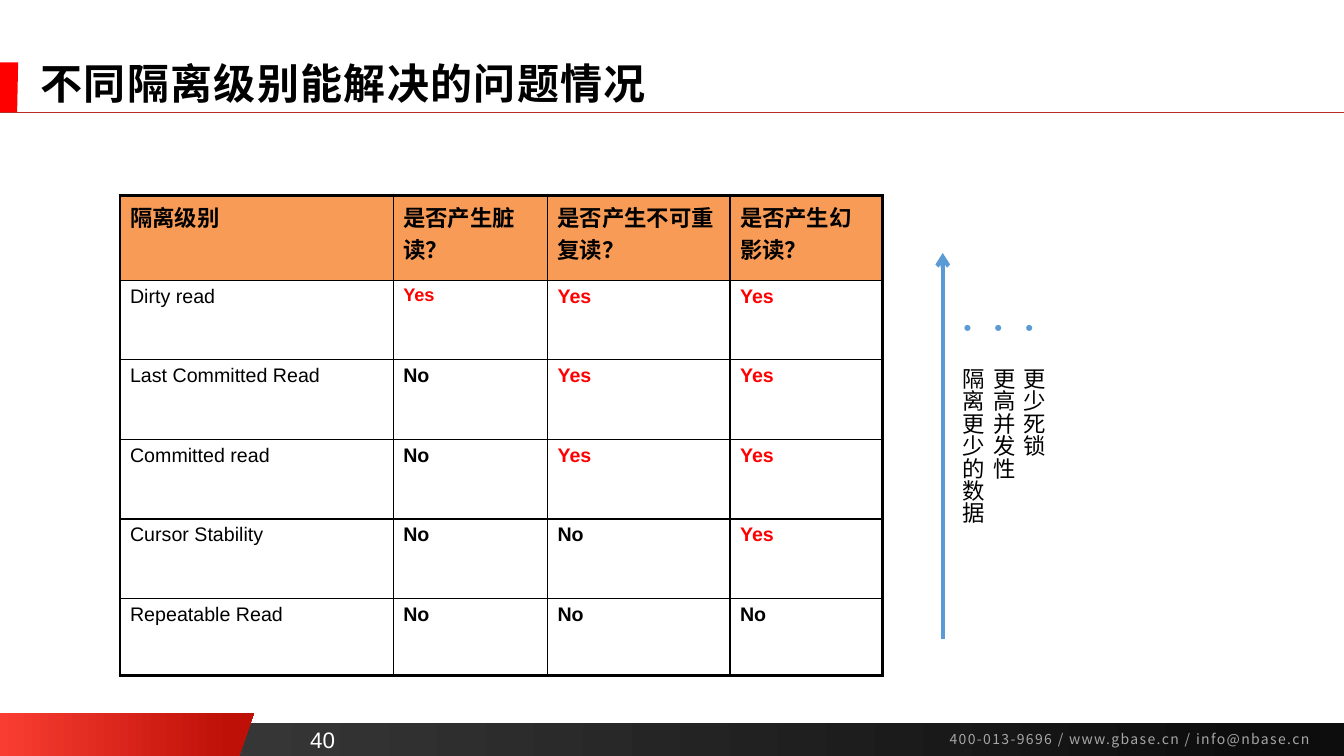
from lxml.etree import SubElement
from pptx import Presentation
from pptx.dml.color import RGBColor
from pptx.enum.shapes import MSO_CONNECTOR, MSO_SHAPE
from pptx.enum.text import MSO_ANCHOR, MSO_AUTO_SIZE, PP_ALIGN
from pptx.oxml.ns import qn
from pptx.util import Inches, Pt

COLORS = {
    "black": "000000", "white": "FFFFFF", "red": "FF0000", "blue": "5B9BD5",
    "orange": "F89B56", "rule": "B82E24", "gray": "A6A6A6",
    "dark": "404040", "night": "0D0D0D", "flame": "F93D32", "brick": "BE1007",
}
CJK = "Noto Sans CJK SC"
HEAD = ["隔离级别", "是否产生脏读？", "是否产生不可重复读？", "是否产生幻影读？"]
LEVELS = [
    ("Dirty read", "Yes", "Yes", "Yes"),
    ("Last Committed Read", "No", "Yes", "Yes"),
    ("Committed read", "No", "Yes", "Yes"),
    ("Cursor Stability", "No", "No", "Yes"),
    ("Repeatable Read", "No", "No", "No"),
]
WIDTHS = [2.71, 1.53, 1.81, 1.51]
HEIGHTS = [0.84, 0.79, 0.79, 0.79, 0.79, 0.76]
GAINS = ["更少死锁", "更高并发性", "隔离更少的数据"]


def color(name):
    """Return the named colour."""
    return RGBColor.from_string(COLORS[name])


def box(*sides):
    """Turn inch numbers into lengths."""
    return [Inches(side) for side in sides]


def write(para, text, size=14, font="Arial", ink="black", bold=False,
          space=0, align=PP_ALIGN.LEFT, lead=None):
    """Add one formatted run to a paragraph."""
    para.alignment = align
    para.space_before = Pt(0)
    if lead:
        para.line_spacing = lead
    run = para.add_run()
    run.text = text
    run.font.size = Pt(size)
    run.font.bold = bold
    run.font.name = font
    run.font.color.rgb = color(ink)
    props = run.font._element
    SubElement(props, qn("a:ea"), typeface=CJK)
    if space:
        props.set("spc", str(space * 100))


def label(slide, place, text, wrap=True, anchor=MSO_ANCHOR.TOP, **style):
    """Add a text box with one line of text."""
    frame = slide.shapes.add_textbox(*box(*place)).text_frame
    frame.word_wrap = wrap
    frame.vertical_anchor = anchor
    write(frame.paragraphs[0], text, **style)


def paint(shape, first, last=None, end=1):
    """Fill a shape with one colour or a left to right gradient."""
    shape.shadow.inherit = False
    shape.line.fill.background()
    if not last:
        shape.fill.solid()
        shape.fill.fore_color.rgb = color(first)
        return
    shape.fill.gradient()
    shape.fill.gradient_angle = 0
    for stop, name, spot in zip(shape.fill.gradient_stops, (first, last), (0, end)):
        stop.color.rgb = color(name)
        stop.position = spot


def outline(slide, points):
    """Add a closed polygon through points in inches."""
    start, *rest = [box(*point) for point in points]
    form = slide.shapes.build_freeform(*start)
    form.add_line_segments(rest, close=True)
    return form.convert_to_shape()


def line(slide, ends, ink, width, arrow=False):
    """Add a straight line, with an arrowhead at its end if asked."""
    link = slide.shapes.add_connector(MSO_CONNECTOR.STRAIGHT, *box(*ends))
    link.line.color.rgb = color(ink)
    link.line.width = Pt(width)
    if arrow:
        SubElement(link.line._get_or_add_ln(), qn("a:tailEnd"), type="arrow")
    SubElement(link._element.spPr, qn("a:effectLst"))


def border(cell, thick):
    """Draw the four cell borders, thick on the listed sides."""
    props = cell._tc.get_or_add_tcPr()
    for side in "LRTB":
        width = Pt(2.25 if side in thick else 1)
        edge = SubElement(props, qn(f"a:ln{side}"), w=str(width))
        fill = SubElement(edge, qn("a:solidFill"))
        SubElement(fill, qn("a:srgbClr"), val=COLORS["black"])


def grid(slide):
    """Add the table of isolation levels."""
    rows = [HEAD, *LEVELS]
    place = box(1.19, 1.94, sum(WIDTHS), sum(HEIGHTS))
    table = slide.shapes.add_table(len(rows), len(HEAD), *place).table
    table.first_row = table.horz_banding = False
    for col, width in zip(table.columns, WIDTHS):
        col.width = Inches(width)
    for r, (row, height) in enumerate(zip(rows, HEIGHTS)):
        table.rows[r].height = Inches(height)
        for c, text in enumerate(row):
            cell = table.cell(r, c)
            edges = {"T": r == 0, "B": r == len(rows) - 1,
                     "L": c == 0, "R": c == len(HEAD) - 1}
            border(cell, [side for side, on in edges.items() if on])
            if r == 0:
                cell.margin_right = Inches(0.13)
                cell.fill.solid()
                cell.fill.fore_color.rgb = color("orange")
            else:
                cell.fill.background()
            size = 16 if r == 0 else 13 if (r, c) == (1, 1) else 14
            write(cell.text_frame.paragraphs[0], text, size=size,
                  bold=r == 0 or c > 0, ink="red" if text == "Yes" else "black")


def move(shape, place):
    """Place a shape by lengths in inches."""
    shape.left, shape.top, shape.width, shape.height = box(*place)


def bullet(para):
    """Give a paragraph a blue bullet and a hanging indent."""
    props = para._p.get_or_add_pPr()
    props.set("marL", str(Inches(0.38)))
    props.set("indent", str(Inches(-0.38)))
    tint = SubElement(props, qn("a:buClr"))
    SubElement(tint, qn("a:srgbClr"), val=COLORS["blue"])
    SubElement(props, qn("a:buFont"), typeface="Arial")
    SubElement(props, qn("a:buChar"), char="•")


def gains(body):
    """Write the vertical list beside the arrow."""
    move(body, (9.4, 3.22, 1.13, 2.21))
    frame = body.text_frame
    frame.auto_size = MSO_AUTO_SIZE.SHAPE_TO_FIT_TEXT
    frame._txBody.bodyPr.set("vert", "eaVert")
    for i, text in enumerate(GAINS):
        para = frame.add_paragraph() if i else frame.paragraphs[0]
        bullet(para)
        write(para, text, size=16, lead=Pt(22))


def decor(slide):
    """Draw the title mark, the rule and the footer."""
    bar = slide.shapes.add_shape(MSO_SHAPE.RECTANGLE, *box(0, 7.17, 13.33, 0.33))
    paint(bar, "dark", "night", 0.94)
    flag = outline(slide, [(0, 7.07), (2.52, 7.07), (2.37, 7.5), (0, 7.5)])
    paint(flag, "flame", "brick", 0.91)
    mark = outline(slide, [(0, 0.62), (0.18, 0.62), (0.17, 1.12), (0, 1.12)])
    paint(mark, "red")
    line(slide, (0, 1.11, 13.33, 1.11), "rule", 0.5)
    label(slide, (9.32, 7.2, 3.99, 0.27),
          "400-013-9696 / www.gbase.cn / info@nbase.cn",
          size=10, font=CJK, ink="gray", space=1)
    label(slide, (2.96, 7.15, 0.48, 0.37), "40", wrap=False,
          anchor=MSO_ANCHOR.BOTTOM, size=16, ink="white", align=PP_ALIGN.CENTER)


def main():
    """Build and save the slide."""
    deck = Presentation()
    deck.slide_width, deck.slide_height = box(13.33, 7.5)
    slide = deck.slides.add_slide(deck.slide_layouts[1])
    decor(slide)
    title, body = slide.placeholders
    move(title, (0.3, 0.59, 12.26, 0.53))
    write(title.text_frame.paragraphs[0], "不同隔离级别能解决的问题情况",
          size=30, font=CJK, bold=True, space=1, lead=0.9)
    grid(slide)
    gains(body)
    line(slide, (9.35, 6.34, 9.35, 2.51), "blue", 3, arrow=True)
    deck.save("out.pptx")


if __name__ == "__main__":
    main()
